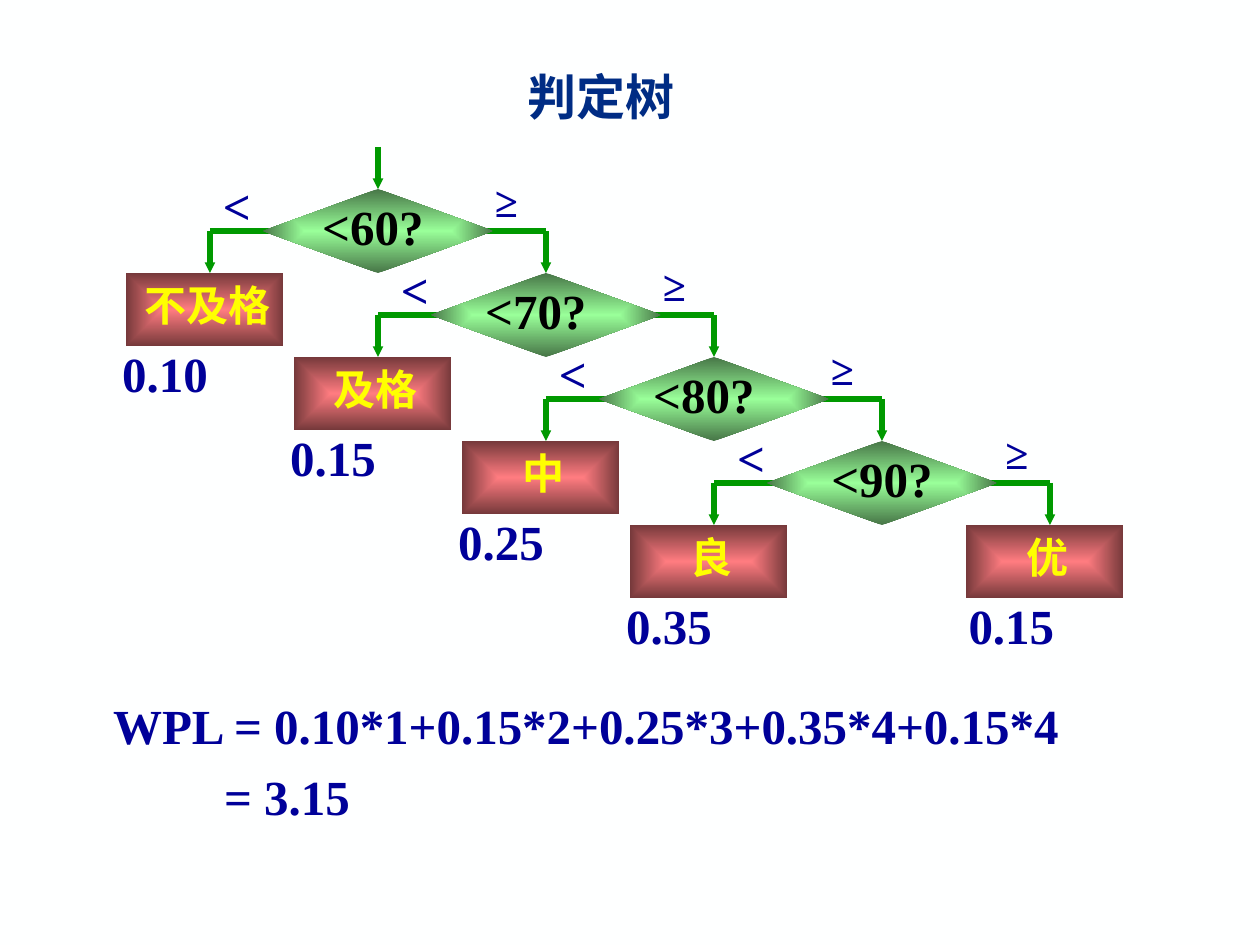
import pptx
import pptx.util
import pptx.dml.color
import pptx.enum.shapes
import pptx.enum.text
import pptx.oxml
import pptx.oxml.ns
from dataclasses import dataclass
from pptx.util import Inches


@dataclass(frozen=True)
class Theme:
    font: str = "Times New Roman"
    background: str = "FEFFFF"
    title: str = "002C84"
    ink: str = "000099"
    question: str = "000000"
    grade: str = "FFFF00"
    arrow: str = "009900"
    decision_fill: tuple = ("99FF99", "477647")
    grade_fill: tuple = ("FF7C80", "76393B")
    large: int = 28
    medium: int = 24
    arrow_width: int = 3


THEME = Theme()
TITLE = "判定树"
DECISIONS = [
    {"question": "<60?", "shift": -0.04, "less": -1.12, "more": 1.02},
    {"question": "<70?", "shift": -0.08, "less": -1.04, "more": 1.02},
    {"question": "<80?", "shift": -0.08, "less": -1.12, "more": 1.02},
    {"question": "<90?", "shift": 0, "less": -1.04, "more": 1.07},
]
GRADES = [
    ("不及格", "0.10", 1.24),
    ("及格", "0.15", 0.9),
    ("中", "0.25", 0.55),
    ("良", "0.35", 0.55),
    ("优", "0.15", 0.55),
]
FORMULA = ["WPL = 0.10*1+0.15*2+0.25*3+0.35*4+0.15*4", "= 3.15"]

BRANCH = 4 / 3
ROW = 2 / 3
ROOT_X, ROOT_TOP = 3, 1.5
DECISION_WIDTH = 1.83
GRADE_WIDTH, GRADE_HEIGHT = 1.25, 0.58
STUB = 0.5
NAMESPACE = pptx.oxml.ns.nsdecls("a")
GRADIENT = (
    "<a:gradFill {} rotWithShape='1'><a:gsLst>"
    "<a:gs pos='0'><a:srgbClr val='{}'/></a:gs>"
    "<a:gs pos='100000'><a:srgbClr val='{}'/></a:gs></a:gsLst>"
    "<a:path path='rect'><a:fillToRect l='50000' t='50000' r='50000' b='50000'/></a:path>"
    "</a:gradFill>"
)


def color(value):
    return pptx.dml.color.RGBColor.from_string(value)


def add_text(slide, lines, left, top, width, height, size, ink, centered=True):
    box = slide.shapes.add_textbox(Inches(left), Inches(top), Inches(width), Inches(height))
    text_frame = box.text_frame
    text_frame.text = "\n".join(lines)
    text_frame.word_wrap = False
    text_frame.auto_size = pptx.enum.text.MSO_AUTO_SIZE.SHAPE_TO_FIT_TEXT
    text_frame.vertical_anchor = pptx.enum.text.MSO_ANCHOR.MIDDLE
    for paragraph in text_frame.paragraphs:
        if centered:
            paragraph.alignment = pptx.enum.text.PP_ALIGN.CENTER
        for run in paragraph.runs:
            run.font.name = THEME.font
            run.font.size = pptx.util.Pt(size)
            run.font.bold = True
            run.font.color.rgb = color(ink)
    return text_frame


def add_label(slide, text, center, top, width, size, ink):
    height = 0.57 if size == THEME.large else 0.5
    add_text(slide, [text], center - width / 2, top, width, height, size, ink)


def add_line(slide, start, end, arrow=False):
    connector = slide.shapes.add_connector(
        pptx.enum.shapes.MSO_CONNECTOR.STRAIGHT, *map(Inches, start + end))
    connector.line.color.rgb = color(THEME.arrow)
    connector.line.width = pptx.util.Pt(THEME.arrow_width)
    if arrow:
        connector.line._get_or_add_ln().append(
            pptx.oxml.parse_xml(f"<a:tailEnd {NAMESPACE} type='triangle' w='sm' len='sm'/>"))
    connector._element.spPr.append(pptx.oxml.parse_xml(f"<a:effectLst {NAMESPACE}/>"))


def add_gradient_shape(slide, kind, left, top, width, height, stops):
    shape = slide.shapes.add_shape(kind, *map(Inches, (left, top, width, height)))
    shape.shadow.inherit = False
    shape.line.fill.background()
    gradient = pptx.oxml.parse_xml(GRADIENT.format(NAMESPACE, *stops))
    shape._element.spPr.find(pptx.oxml.ns.qn("a:prstGeom")).addnext(gradient)


def add_decision(slide, center, top, decision):
    middle = top + ROW / 2
    for side in (-1, 1):
        outer = center + side * BRANCH
        add_line(slide, (outer, middle), (outer - side * STUB, middle))
        add_line(slide, (outer, middle), (outer, top + ROW), arrow=True)
    add_gradient_shape(slide, pptx.enum.shapes.MSO_SHAPE.FLOWCHART_DECISION,
                       center - DECISION_WIDTH / 2, top, DECISION_WIDTH, ROW,
                       THEME.decision_fill)
    add_label(slide, decision["question"], center + decision["shift"], top + 0.01,
              1.06, THEME.large, THEME.question)
    add_label(slide, "<", center + decision["less"], top - 0.16, 0.44, THEME.large, THEME.ink)
    add_label(slide, "≥", center + decision["more"], top - 0.16, 0.4, THEME.medium, THEME.ink)


def add_grade(slide, branch, top, name, weight, name_width, weight_shift):
    left = branch - ROW
    add_gradient_shape(slide, pptx.enum.shapes.MSO_SHAPE.RECTANGLE,
                       left, top, GRADE_WIDTH, GRADE_HEIGHT, THEME.grade_fill)
    add_label(slide, name, branch - 0.02, top, name_width, THEME.medium, THEME.grade)
    add_label(slide, weight, left + weight_shift, top + 0.51, 0.9, THEME.large, THEME.ink)


def main():
    presentation = pptx.Presentation()
    presentation.slide_width = Inches(10)
    presentation.slide_height = Inches(7.5)
    slide = presentation.slides.add_slide(presentation.slide_layouts[6])
    slide.background.fill.solid()
    slide.background.fill.fore_color.rgb = color(THEME.background)

    add_label(slide, TITLE, 4.77, 0.48, 1.42, THEME.large, THEME.title)
    add_line(slide, (ROOT_X, ROOT_TOP - ROW / 2), (ROOT_X, ROOT_TOP), arrow=True)

    for level, decision in enumerate(DECISIONS):
        add_decision(slide, ROOT_X + level * BRANCH, ROOT_TOP + level * ROW, decision)

    last = len(GRADES) - 1
    for index, (name, weight, name_width) in enumerate(GRADES):
        column = index + 1 if index == last else index
        row = min(index + 1, last)
        add_grade(slide, ROOT_X + (column - 1) * BRANCH, ROOT_TOP + row * ROW,
                  name, weight, name_width, 0.36 if index == last else 0.31)

    formula = add_text(slide, FORMULA, 0.8, 5.47, 7.74, 1.13,
                       THEME.large, THEME.ink, centered=False)
    for paragraph in formula.paragraphs:
        paragraph.space_before = pptx.util.Pt(7)
    formula.paragraphs[1]._p.get_or_add_pPr().set("marL", str(Inches(0.88)))

    presentation.save("out.pptx")


if __name__ == "__main__":
    main()
